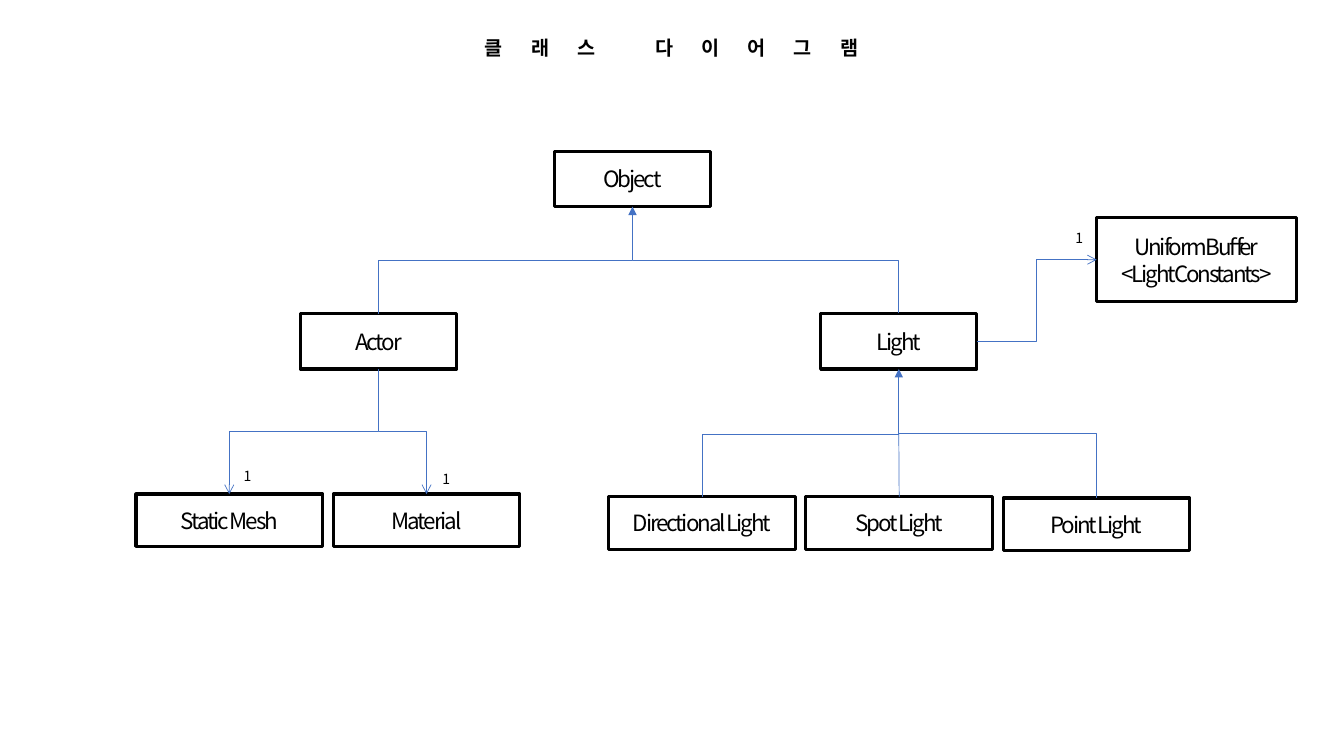
from lxml.etree import SubElement
from pptx import Presentation
from pptx.dml.color import RGBColor
from pptx.enum.shapes import MSO_CONNECTOR as LINK, MSO_SHAPE as SHAPE
from pptx.enum.text import MSO_ANCHOR as ANCHOR, PP_ALIGN as ALIGN
from pptx.oxml.ns import qn
from pptx.util import Cm, Pt

BLACK = RGBColor(0x00, 0x00, 0x00)
BLUE = RGBColor(0x44, 0x72, 0xC4)
FONT = "Noto Sans CJK KR"
WIDE, TALL = Cm(3.94), Cm(1.4)
LEAF, LOW, STEP = Cm(4.7), Cm(1.32), Cm(4.97)


def write(para, text, size, space=0, bold=False):
    """Add one styled run to a paragraph."""
    run = para.add_run()
    run.text = text
    font = run.font
    font.size, font.bold, font.name = Pt(size), bold, FONT
    font.color.rgb = BLACK
    props = run._r.get_or_add_rPr()
    props.set("spc", str(round(space * 100)))
    SubElement(props, qn("a:ea"), typeface=FONT)


def node(slide, x, y, w, h, *names):
    """Draw a class box with one centred line per name."""
    box = slide.shapes.add_shape(SHAPE.RECTANGLE, x, y, w, h)
    box.shadow.inherit = False
    box.fill.background()
    box.line.color.rgb = BLACK
    box.line.width = Pt(2.25)
    frame = box.text_frame
    frame.word_wrap = False
    frame.vertical_anchor = ANCHOR.MIDDLE
    for i, name in enumerate(names):
        para = frame.add_paragraph() if i else frame.paragraphs[0]
        para.alignment = ALIGN.CENTER
        write(para, name, 16, -1.5)
    return box


def count(slide, x, y):
    """Place a multiplicity label."""
    frame = slide.shapes.add_textbox(x, y, Cm(0.71), Cm(0.68)).text_frame
    frame.word_wrap = True
    write(frame.paragraphs[0], "1", 10)


def top(box):
    """Return the middle of the top side."""
    return box.left + box.width // 2, box.top


def foot(box):
    """Return the middle of the bottom side."""
    return box.left + box.width // 2, box.top + box.height


def link(slide, start, end, kind=LINK.ELBOW, tip=None):
    """Draw a blue connector between two points."""
    line = slide.shapes.add_connector(kind, *start, *end)
    line.line.color.rgb = BLUE
    line.line.width = Pt(0.5)
    props = line._element.spPr
    if tip:
        SubElement(props.find(qn("a:ln")), qn("a:tailEnd"), type=tip)
    SubElement(props, qn("a:effectLst"))
    return line


def rise(slide, start, end, tip):
    """Draw an elbow that leaves and arrives vertically."""
    (x1, y1), (x2, y2) = start, end
    mx, my, dx, dy = (x1 + x2) // 2, (y1 + y2) // 2, (x2 - x1) // 2, (y2 - y1) // 2
    line = link(slide, (mx + dy, my - dx), (mx - dy, my + dx), tip=tip)
    line._element.spPr.find(qn("a:xfrm")).set("rot", "16200000")


def turn(slide, start, end, tip=None):
    """Draw an elbow with one corner, level first."""
    line = link(slide, start, end, tip=tip)
    line._element.spPr.find(qn("a:prstGeom")).set("prst", "bentConnector2")


def half(low, high):
    """Return the point under a parent, midway to its child."""
    return foot(low)[0], (foot(low)[1] + top(high)[1]) // 2


def head(slide, x, y, w, h):
    """Set the slide title."""
    title = slide.shapes.title
    title.left, title.top, title.width, title.height = x, y, w, h
    frame = title.text_frame
    frame.word_wrap = True
    frame.vertical_anchor = ANCHOR.MIDDLE
    frame.paragraphs[0].alignment = ALIGN.CENTER
    write(frame.paragraphs[0], "클래스 다이어그램", 14, 20, True)


def actor(slide, x, y):
    """Draw Actor with the two parts it owns."""
    root = node(slide, x + Cm(4.14), y, WIDE, TALL, "Actor")
    mesh, skin = [node(slide, x + i * STEP, y + Cm(4.55), LEAF, LOW, name)
                  for i, name in enumerate(("Static Mesh", "Material"))]
    rise(slide, foot(root), top(skin), "arrow")
    turn(slide, half(root, mesh), top(mesh), "arrow")
    count(slide, x + Cm(2.46), y + Cm(3.76))
    count(slide, x + Cm(7.47), y + Cm(3.83))
    return root


def light(slide, x, y):
    """Draw Light with its three kinds and its buffer."""
    root = node(slide, x + Cm(5.34), y, WIDE, TALL, "Light")
    kinds = (("Directional Light", 4.62), ("Spot Light", 4.62), ("Point Light", 4.65))
    sun, spot, point = [node(slide, x + i * STEP, y + Cm(drop), LEAF, LOW, name)
                        for i, (name, drop) in enumerate(kinds)]
    store = node(slide, x + Cm(12.3), y - Cm(2.41), Cm(5.03), Cm(2.11),
                 "UniformBuffer", "<LightConstants>")
    rise(slide, top(point), foot(root), "triangle")
    fork = half(root, spot)
    link(slide, fork, top(spot), LINK.STRAIGHT).end_connect(spot, 0)
    turn(slide, (fork[0], fork[1] + Cm(0.04)), top(sun))
    link(slide, (root.left + WIDE, root.top + TALL // 2),
         (store.left, store.top + store.height // 2), tip="arrow")
    count(slide, x + Cm(11.51), y - Cm(2.24))
    return root


def build():
    """Build the class diagram slide and save it."""
    deck = Presentation()
    deck.slide_width, deck.slide_height = Cm(33.87), Cm(19.05)
    slide = deck.slides.add_slide(deck.slide_layouts[5])
    head(slide, Cm(11.73), Cm(0.76), Cm(10.39), Cm(0.86))
    base = node(slide, Cm(13.97), Cm(3.81), WIDE, TALL, "Object")
    left = actor(slide, Cm(3.43), Cm(7.9))
    right = light(slide, Cm(15.34), Cm(7.9))
    rise(slide, top(right), foot(base), "triangle")
    turn(slide, half(base, left), top(left))
    deck.save("out.pptx")


if __name__ == "__main__":
    build()
